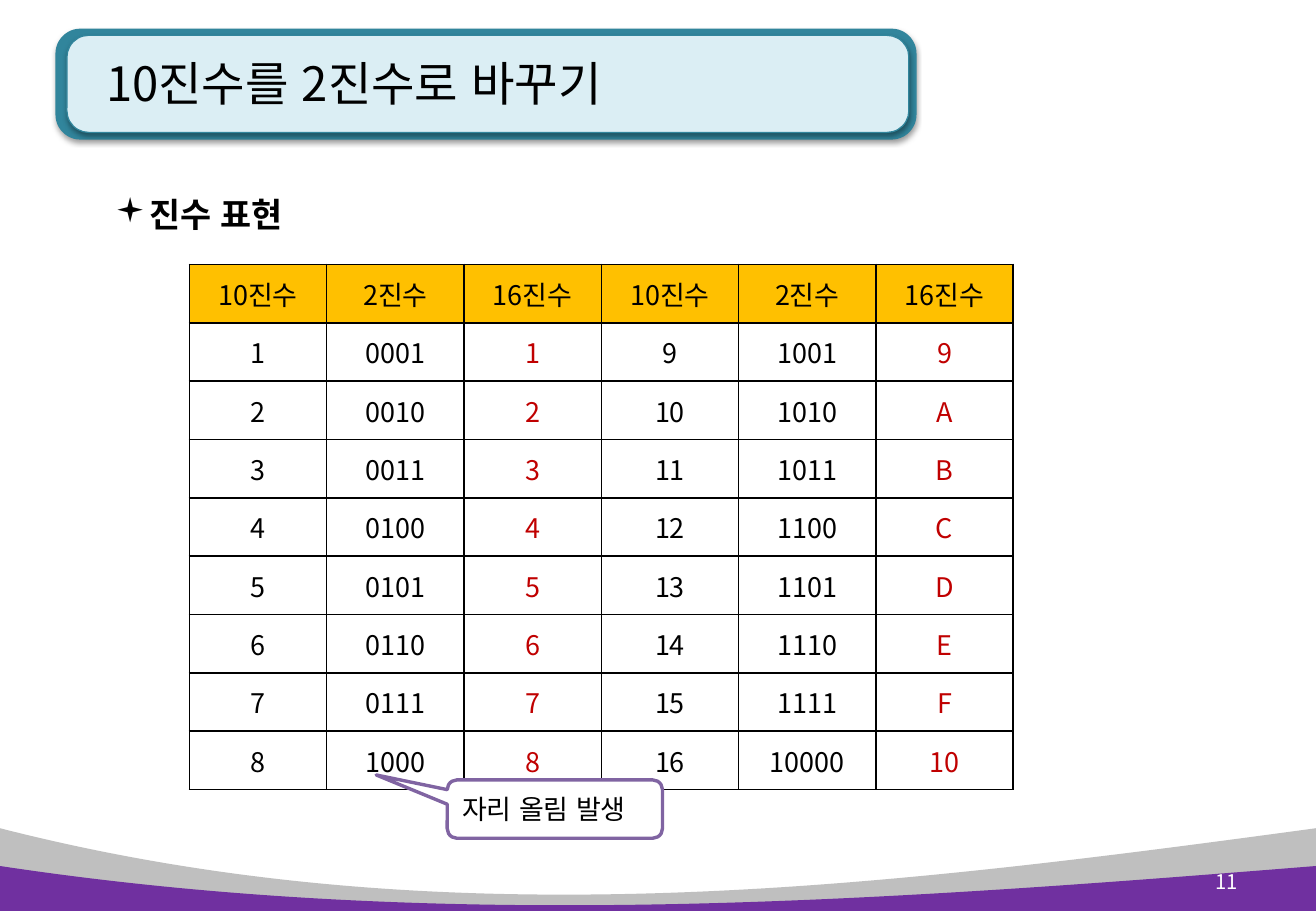
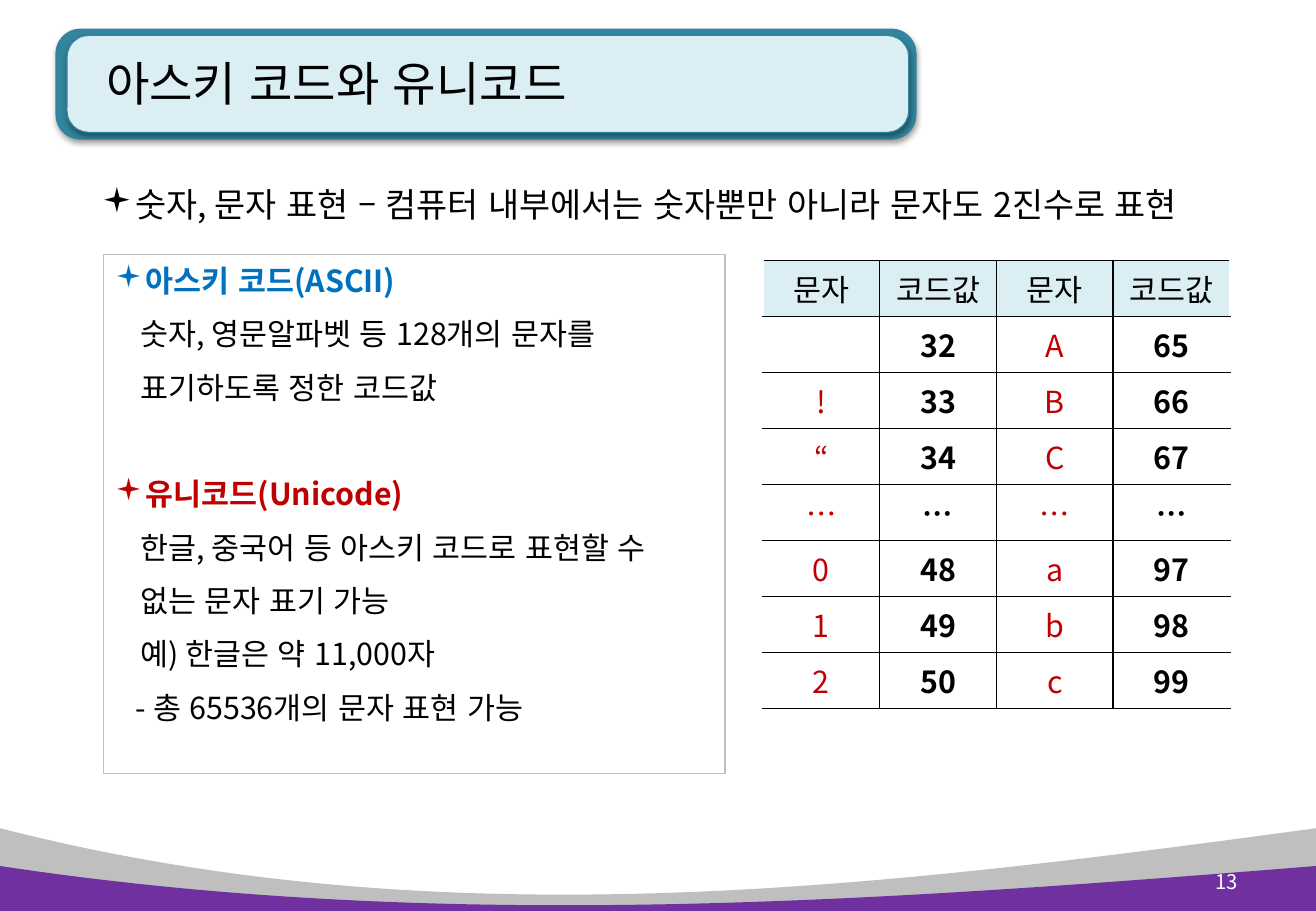
from lxml import etree
from pptx import Presentation
from pptx.dml.color import RGBColor
from pptx.enum.shapes import MSO_SHAPE as Kind
from pptx.enum.text import MSO_ANCHOR as Anchor, PP_ALIGN as Align
from pptx.oxml import parse_xml
from pptx.oxml.ns import nsdecls, qn
from pptx.util import Cm, Pt

FONT = "Noto Sans CJK KR"
BLACK, WHITE, RED, BLUE = "000000", "FFFFFF", "C00000", "0070C0"
TEAL, PALE, GRAY = "31859C", "DBEEF4", "BFBFBF"
PURPLE, VIOLET, GOLD = "7030A0", "8064A2", "FFC000"
WIDE, HIGH = 27.51, 19.05


def tint(code):
    return RGBColor.from_string(code)


class Deck:
    def __init__(self):
        self.show = Presentation()
        self.show.slide_width = Cm(WIDE)
        self.show.slide_height = Cm(HIGH)
        self.slide = None

    def page(self, title, number):
        self.slide = self.show.slides.add_slide(self.show.slide_layouts[6])
        self.wave(17.32, 19.69, 18.57, GRAY)
        self.shade(self.box((1.16, 0.6, 18, 2.32), Kind.ROUNDED_RECTANGLE, TEAL, adjust=[0.225]))
        self.shade(self.box((1.4, 0.74, 17.6, 2.03), Kind.ROUNDED_RECTANGLE, PALE, TEAL, adjust=[0.225]))
        self.wave(18.11, 19.51, 18.85, PURPLE)
        frame = self.text((1.75, 0.54, 17.22, 2.39), Anchor.MIDDLE)
        frame.margin_left = Cm(0.47)
        self.run(frame.paragraphs[0], title, 28)
        frame = self.text((24.57, 17.93, 1.55, 1.02), Anchor.MIDDLE)
        frame.paragraphs[0].alignment = Align.RIGHT
        self.run(frame.paragraphs[0], number, 12, WHITE)

    def paint(self, shape, fill, line=None, width=0.75):
        shape.shadow.inherit = False
        if fill:
            shape.fill.solid()
            shape.fill.fore_color.rgb = tint(fill)
        else:
            shape.fill.background()
        if line:
            shape.line.color.rgb = tint(line)
            shape.line.width = Pt(width)
        else:
            shape.line.fill.background()
        return shape

    def wave(self, edge, left, right, fill):
        form = self.slide.shapes.build_freeform(0, Cm(edge))
        ends = [(WIDE, edge), (WIDE, HIGH), (0, HIGH)]
        form.add_line_segments([(Cm(x), Cm(y)) for x, y in ends], close=True)
        shape = self.paint(form.convert_to_shape(), fill)
        curve = etree.Element(qn("a:cubicBezTo"))
        for x, y in ((9.27, left), (18.29, right), (WIDE, edge)):
            etree.SubElement(curve, qn("a:pt"), x=str(Cm(x)), y=str(Cm(y) - Cm(edge)))
        first = next(shape._element.iter(qn("a:lnTo")))
        first.getparent().replace(first, curve)

    def box(self, place, kind, fill, line=None, width=0.75, adjust=()):
        shape = self.slide.shapes.add_shape(kind, *map(Cm, place))
        for index, value in enumerate(adjust):
            shape.adjustments[index] = value
        return self.paint(shape, fill, line, width)

    def shade(self, shape):
        effect = shape._element.spPr.find(qn("a:effectLst"))
        effect.append(parse_xml(
            f'<a:outerShdw {nsdecls("a")} blurRad="{Pt(3.1)}" dist="{Pt(1.6)}" dir="5400000" rotWithShape="0">'
            f'<a:srgbClr val="{BLACK}"><a:alpha val="38000"/></a:srgbClr></a:outerShdw>'))

    def text(self, place, anchor=Anchor.TOP):
        frame = self.slide.shapes.add_textbox(*map(Cm, place)).text_frame
        frame.word_wrap = True
        frame.vertical_anchor = anchor
        return frame

    def run(self, para, words, size, color=BLACK, bold=False):
        run = para.add_run()
        run.text = words
        font = run.font
        font.size, font.bold, font.name = Pt(size), bold, FONT
        font.color.rgb = tint(color)
        run._r.get_or_add_rPr().set("lang", "ko-KR")

    def indent(self, para, left, bullet=False):
        props = para._p.get_or_add_pPr()
        props.set("marL", str(Cm(left)))
        props.set("indent", str(-Cm(left) if bullet else 0))
        if bullet:
            etree.SubElement(props, qn("a:buFont"), typeface="Wingdings")
            etree.SubElement(props, qn("a:buChar"), char="▪")

    def point(self, place, words, left, bold=False):
        para = self.text(place).paragraphs[0]
        self.indent(para, left, True)
        para.line_spacing = 1.5
        self.run(para, words, 20, bold=bold)

    def list(self, place, items):
        frame = self.box(place, Kind.RECTANGLE, None, GRAY).text_frame
        frame.word_wrap = True
        frame.vertical_anchor = Anchor.TOP
        frame.margin_top = 0
        for index, (words, color, gap) in enumerate(items):
            para = frame.add_paragraph() if index else frame.paragraphs[0]
            head = color != BLACK
            inset = 0.43 if words.startswith("-") else 0.53
            self.indent(para, 0.64 if head else inset, head)
            para.alignment = Align.LEFT
            para.line_spacing = Pt(26)
            if index:
                para.space_before = Pt(gap)
            self.run(para, words, 18, color, head)

    def callout(self, place, words, adjust):
        shape = self.box(place, Kind.ROUNDED_RECTANGULAR_CALLOUT, WHITE, VIOLET, 2, adjust)
        frame = shape.text_frame
        frame.word_wrap = True
        frame.vertical_anchor = Anchor.MIDDLE
        frame.paragraphs[0].alignment = Align.LEFT
        self.run(frame.paragraphs[0], words, 16)

    def border(self, cell, sides):
        props = cell._tc.get_or_add_tcPr()
        for index, side in enumerate(sides):
            props.insert(index, parse_xml(
                f'<a:ln{side} {nsdecls("a")} w="{Pt(1)}"><a:solidFill>'
                f'<a:srgbClr val="{BLACK}"/></a:solidFill></a:ln{side}>'))

    def grid(self, spot, size, rows, point, head, reds, bolds=(), anchor=Anchor.TOP, closed=True):
        wide, high = size
        count = len(rows[0])
        place = (*spot, wide * count, high * len(rows))
        table = self.slide.shapes.add_table(len(rows), count, *map(Cm, place)).table
        table.first_row = table.horz_banding = False
        for col in table.columns:
            col.width = Cm(wide)
        for r, row in enumerate(rows):
            table.rows[r].height = Cm(high)
            for c, words in enumerate(row):
                cell = table.cell(r, c)
                cell.vertical_anchor = anchor
                if r:
                    cell.fill.background()
                else:
                    cell.fill.solid()
                    cell.fill.fore_color.rgb = tint(head)
                left = "L" if closed or c else ""
                right = "R" if closed or c < count - 1 else ""
                self.border(cell, left + right + "TB")
                para = cell.text_frame.paragraphs[0]
                para.alignment = Align.CENTER
                if words:
                    color = RED if r and c in reds else BLACK
                    self.run(para, words, point, color, bool(r and c in bolds))


def bases(deck):
    deck.page("10진수를 2진수로 바꾸기", "11")
    deck.point((2.16, 3.51, 14.6, 1.19), "진수 표현", 0.64, True)
    rows = [["10진수", "2진수", "16진수"] * 2]
    for low in range(1, 9):
        rows.append([form.format(n) for n in (low, low + 8) for form in ("{}", "{:04b}", "{:X}")])
    deck.grid((3.96, 5.53), (2.87, 1.22), rows, 16, GOLD, (2, 5), anchor=Anchor.MIDDLE)
    deck.callout((9.35, 16.31, 4.5, 1.22), "자리 올림 발생", (-0.83, -0.586, 0.167))


def codes(deck):
    deck.page("아스키 코드와 유니코드", "13")
    gap, jump = 5.6, 37.2
    deck.list((2.16, 5.33, 13, 10.85), [
        ("아스키 코드(ASCII)", BLUE, 0),
        ("숫자, 영문알파벳 등 128개의 문자를", BLACK, gap),
        ("표기하도록 정한 코드값", BLACK, gap),
        ("유니코드(Unicode)", RED, jump),
        ("한글, 중국어 등 아스키 코드로 표현할 수", BLACK, gap),
        ("없는 문자 표기 가능", BLACK, gap),
        ("예) 한글은 약 11,000자", BLACK, gap),
        ("- 총 65536개의 문자 표현 가능", BLACK, gap),
    ])
    rows = [
        ["문자", "코드값"] * 2,
        ["", "32", "A", "65"],
        ["!", "33", "B", "66"],
        ["“", "34", "C", "67"],
        ["…"] * 4,
        ["0", "48", "a", "97"],
        ["1", "49", "b", "98"],
        ["2", "50", "c", "99"],
    ]
    deck.grid((15.95, 5.45), (2.44, 1.17), rows, 18, PALE, (0, 2), (1, 3), closed=False)
    deck.point((1.88, 3.3, 25.27, 1.55),
               "숫자, 문자 표현 – 컴퓨터 내부에서는 숫자뿐만 아니라 문자도 2진수로 표현", 0.36)


def main():
    deck = Deck()
    bases(deck)
    codes(deck)
    deck.show.save("out.pptx")


if __name__ == "__main__":
    main()
